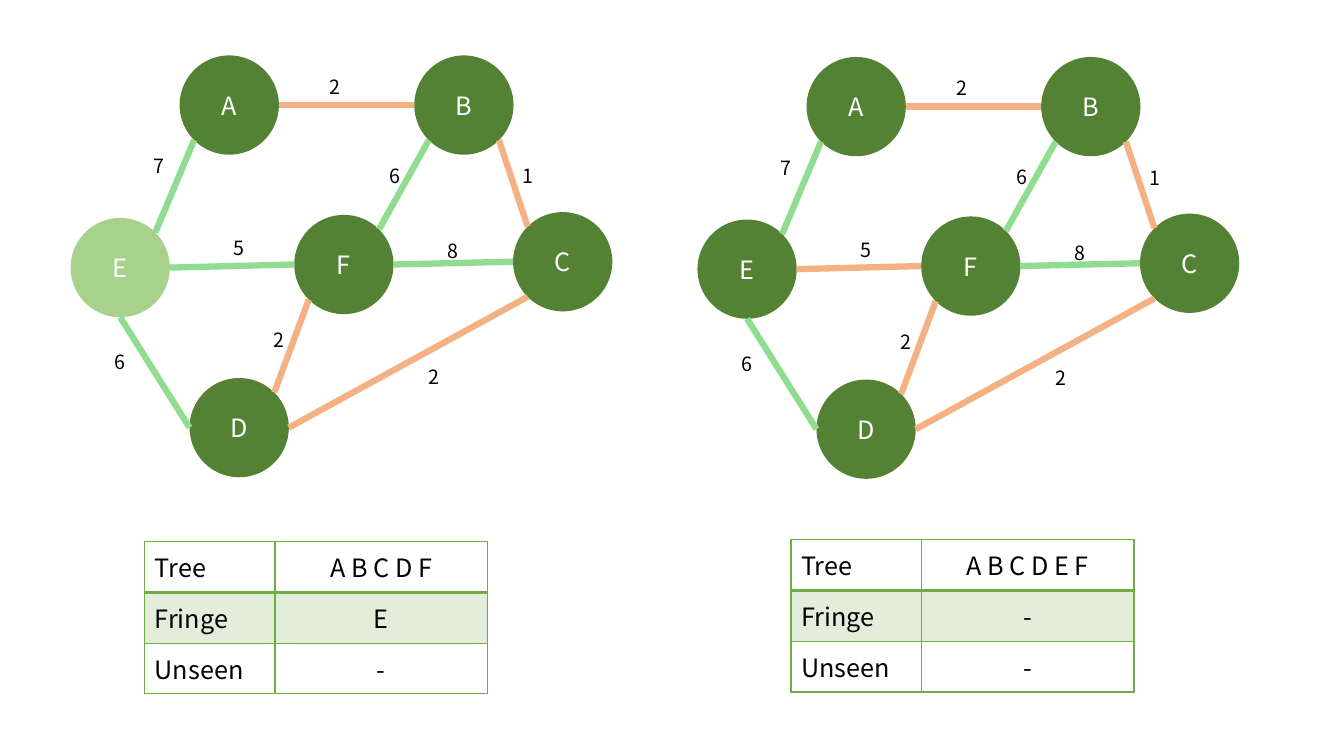
from dataclasses import dataclass
from math import cos, radians, sin

from lxml.etree import SubElement
from pptx import Presentation
from pptx.dml.color import RGBColor
from pptx.enum.shapes import MSO_CONNECTOR, MSO_SHAPE
from pptx.enum.text import MSO_ANCHOR, MSO_AUTO_SIZE, PP_ALIGN
from pptx.oxml.ns import qn
from pptx.util import Pt


@dataclass(frozen=True)
class Theme:
    """Colours and type sizes of the slide."""
    font: str = "Noto Sans CJK KR"
    node: str = "548235"
    fringe_node: str = "A8D18C"
    edge: str = "90DC90"
    tree_edge: str = "F4B183"
    grid: str = "70AD47"
    dark_text: str = "000000"
    light_text: str = "FFFFFF"
    body_size: float = 18
    weight_size: float = 14


THEME = Theme()
DIAMETER = 70.9
ROW_HEIGHT = 36.3
COLUMN_WIDTHS = (93, 152)

# Left and top of each node.
NODES = {
    "B": (295.9, 39.6), "A": (128.3, 39.6), "F": (210.2, 153.5),
    "E": (50.4, 155.7), "C": (366.5, 151.5), "D": (135.4, 270),
}
# Clockwise angle of each point where an edge meets a node.
ANGLES = {"right": 0, "bottom right": 45, "bottom": 90, "bottom left": 135,
          "left": 180, "top left": 225, "top right": 315}
# Start node and side, end node and side, weight, left and top of the weight.
EDGES = [
    ("A", "right", "B", "left", 2, (225.5, 49.9)),
    ("C", "top left", "B", "bottom right", 1, (363, 113.7)),
    ("F", "top right", "B", "bottom left", 6, (268, 113.3)),
    ("E", "top right", "A", "bottom left", 7, (99.5, 106.7)),
    ("F", "left", "E", "right", 5, (157, 165)),
    ("D", "right", "C", "bottom left", 2, (296, 257)),
    ("D", "left", "E", "bottom", 6, (72, 246.5)),
    ("D", "top right", "F", "bottom left", 2, (185, 231)),
    ("C", "left", "F", "right", 8, (309.6, 167.3)),
]


def color(code):
    """Turn a hex code into a colour."""
    return RGBColor.from_string(code)


def write(text_frame, text, size, text_color, align=PP_ALIGN.CENTER):
    """Fill a text frame with one formatted paragraph."""
    text_frame.text = text
    paragraph = text_frame.paragraphs[0]
    paragraph.alignment = align
    for run in paragraph.runs:
        run.font.name = THEME.font
        run.font.size = Pt(size)
        run.font.color.rgb = color(text_color)


def add_node(shapes, name, left, top, fill):
    """Draw a labelled graph node."""
    shape = shapes.add_shape(MSO_SHAPE.OVAL, Pt(left), Pt(top), Pt(DIAMETER), Pt(DIAMETER))
    shape.shadow.inherit = False
    shape.fill.solid()
    shape.fill.fore_color.rgb = color(fill)
    shape.line.fill.background()
    shape.text_frame.vertical_anchor = MSO_ANCHOR.MIDDLE
    write(shape.text_frame, name, THEME.body_size, THEME.light_text)


def node_point(name, side, left, top):
    """Return the point on one side of a node in a graph placed at left, top."""
    node_left, node_top = NODES[name]
    radius, angle = DIAMETER / 2, radians(ANGLES[side])
    return (Pt(left + node_left + radius * (1 + cos(angle))),
            Pt(top + node_top + radius * (1 + sin(angle))))


def add_edge(shapes, start, end, line_color):
    """Draw a straight edge between two points."""
    connector = shapes.add_connector(MSO_CONNECTOR.STRAIGHT, *start, *end)
    connector.line.color.rgb = color(line_color)
    connector.line.width = Pt(4.5)
    SubElement(connector._element.spPr, qn("a:effectLst"))


def add_weight(shapes, weight, left, top):
    """Write the weight of an edge."""
    box = shapes.add_textbox(Pt(left), Pt(top), Pt(28), Pt(24.2))
    box.text_frame.word_wrap = True
    box.text_frame.auto_size = MSO_AUTO_SIZE.SHAPE_TO_FIT_TEXT
    write(box.text_frame, str(weight), THEME.weight_size, THEME.dark_text)


def add_graph(slide, left, top, fringe, tree):
    """Draw the grouped graph, marking its fringe nodes and tree edges."""
    shapes = slide.shapes.add_group_shape().shapes
    for name, (node_left, node_top) in NODES.items():
        fill = THEME.fringe_node if name in fringe else THEME.node
        add_node(shapes, name, left + node_left, top + node_top, fill)
    for start, start_side, end, end_side, _, _ in EDGES:
        line_color = THEME.tree_edge if start + end in tree else THEME.edge
        add_edge(shapes, node_point(start, start_side, left, top),
                 node_point(end, end_side, left, top), line_color)
    for *_, weight, (weight_left, weight_top) in EDGES:
        add_weight(shapes, weight, left + weight_left, top + weight_top)


def set_border(cell, side, width):
    """Draw one border of a cell."""
    line = SubElement(cell._tc.get_or_add_tcPr(), qn(f"a:ln{side}"), w=str(Pt(width)))
    SubElement(SubElement(line, qn("a:solidFill")), qn("a:srgbClr"), val=THEME.grid)


def shade(cell):
    """Give a cell a pale tint of the grid colour."""
    cell.fill.solid()
    cell.fill.fore_color.rgb = color(THEME.grid)
    tint = cell._tc.tcPr.find(qn("a:solidFill")).find(qn("a:srgbClr"))
    SubElement(tint, qn("a:alpha"), val="20000")


def add_state_table(slide, left, top, states):
    """Tabulate the tree, fringe and unseen nodes."""
    frame = slide.shapes.add_table(len(states), 2, Pt(left), Pt(top),
                                   Pt(sum(COLUMN_WIDTHS)), Pt(ROW_HEIGHT * len(states)))
    table = frame.table
    table.first_row = table.horz_banding = False
    for column, width in zip(table.columns, COLUMN_WIDTHS):
        column.width = Pt(width)
    for row_index, state in enumerate(states):
        table.rows[row_index].height = Pt(ROW_HEIGHT)
        for column_index, text in enumerate(state):
            cell = table.cell(row_index, column_index)
            cell.vertical_anchor = MSO_ANCHOR.MIDDLE
            align = PP_ALIGN.CENTER if column_index else PP_ALIGN.LEFT
            write(cell.text_frame, text, THEME.body_size, THEME.dark_text, align)
            for side in "LRTB":
                below_tree = (row_index, side) in ((0, "B"), (1, "T"))
                set_border(cell, side, 2 if below_tree else 1)
            if row_index == 1:
                shade(cell)
            else:
                cell.fill.background()


def main():
    """Build the slide with two steps of the spanning tree search."""
    presentation = Presentation()
    presentation.slide_width, presentation.slide_height = Pt(960), Pt(540)
    slide = presentation.slides.add_slide(presentation.slide_layouts[6])

    tree = {"AB", "CB", "DC", "DF"}
    add_graph(slide, 0, 0, {"E"}, tree)
    add_state_table(slide, 103.4, 386.8,
                    [("Tree", "A B C D F"), ("Fringe", "E"), ("Unseen", "-")])
    add_graph(slide, 447.8, 1.1, set(), tree | {"FE"})
    add_state_table(slide, 565, 385.4,
                    [("Tree", "A B C D E F"), ("Fringe", "-"), ("Unseen", "-")])
    presentation.save("out.pptx")


if __name__ == "__main__":
    main()
